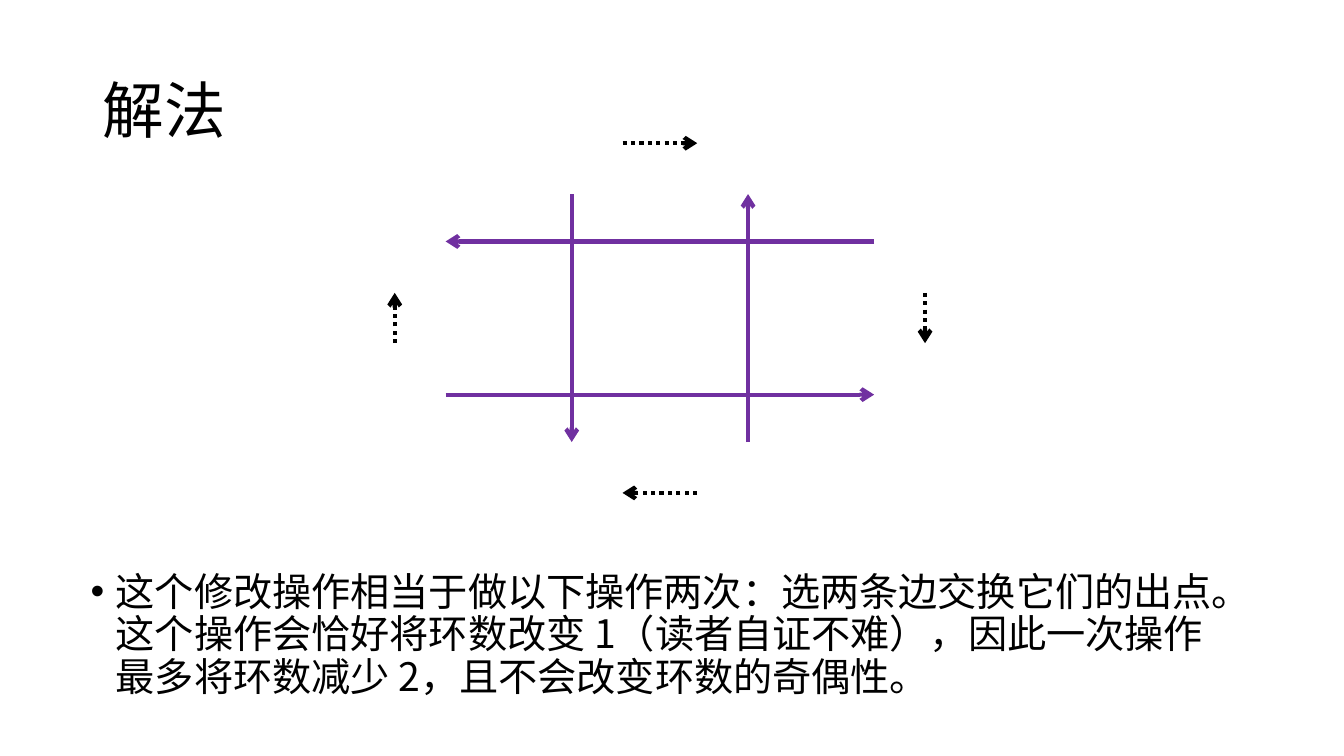
from pptx import Presentation
from pptx.dml.color import RGBColor as Rgb
from pptx.enum.dml import MSO_LINE as Dash
from pptx.enum.shapes import MSO_CONNECTOR as Link
from pptx.enum.text import MSO_ANCHOR as Anchor
from pptx.oxml.ns import qn
from pptx.util import Inches, Pt
from lxml.etree import SubElement as Sub


def tint(code):
    return Rgb.from_string(code)


def put(item, vals):
    for key, val in vals.items():
        setattr(item, key, val)


class Page:
    face = "Noto Sans CJK SC"
    ink = "000000"
    mid = (49.1, 42.07)

    def __init__(self, deck):
        self.wide, self.high = deck.slide_width, deck.slide_height
        self.slide = deck.slides.add_slide(deck.slide_layouts[6])

    def spot(self, x, y):
        return round(self.wide * x / 100), round(self.high * y / 100)

    def text(self, words, place, size, anchor, dot=None):
        box = self.slide.shapes.add_textbox(
            *self.spot(*place[:2]), *self.spot(*place[2:]))
        frame = box.text_frame
        put(frame, {"word_wrap": True, "vertical_anchor": anchor})
        para = frame.paragraphs[0]
        if dot:
            props = para._p.get_or_add_pPr()
            props.set("marL", str(Inches(0.25)))
            props.set("indent", str(-Inches(0.25)))
            Sub(props, qn("a:buFont"), typeface="Arial")
            Sub(props, qn("a:buChar"), char=dot)
        para.line_spacing = 0.9
        run = para.add_run()
        run.text = words
        put(run.font, {"size": Pt(size), "name": self.face})
        run.font.color.rgb = tint(self.ink)
        Sub(run.font._element, qn("a:ea"), typeface=self.face)

    def arrow(self, start, end, color, dash=None):
        ends = [self.spot(*(m + d for m, d in zip(self.mid, point)))
                for point in (start, end)]
        line = self.slide.shapes.add_connector(Link.STRAIGHT, *ends[0], *ends[1])
        line.line.color.rgb = tint(color)
        put(line.line, {"width": Pt(3), "dash_style": dash})
        Sub(line.line._get_or_add_ln(), qn("a:tailEnd"), type="arrow")
        Sub(line._element.spPr, qn("a:effectLst"))

    def pair(self, start, end, *style):
        for sign in (1, -1):
            self.arrow(*([sign * d for d in point] for point in (start, end)), *style)


def main():
    deck = Presentation()
    put(deck, {"slide_width": Inches(13.333), "slide_height": Inches(7.5)})
    page = Page(deck)
    page.text("解法", (6.9, 5.33, 86.25, 19.33), 44, Anchor.MIDDLE)
    page.text("这个修改操作相当于做以下操作两次：选两条边交换它们的出点。"
              "这个操作会恰好将环数改变 1（读者自证不难），因此一次操作"
              "最多将环数减少 2，且不会改变环数的奇偶性。",
              (6, 75.07, 86.25, 24.4), 28, Anchor.TOP, "•")
    turn = (page.ink, Dash.ROUND_DOT)
    edge = ("7030A0",)
    for x, y, style in ((2.78, -23.13, turn), (15.94, 10.13, edge)):
        page.pair((-x, y), (x, y), *style)
    for x, y, style in ((19.73, 3.33, turn), (-6.56, 16.4, edge)):
        page.pair((x, -y), (x, y), *style)
    deck.save("out.pptx")


if __name__ == "__main__":
    main()
